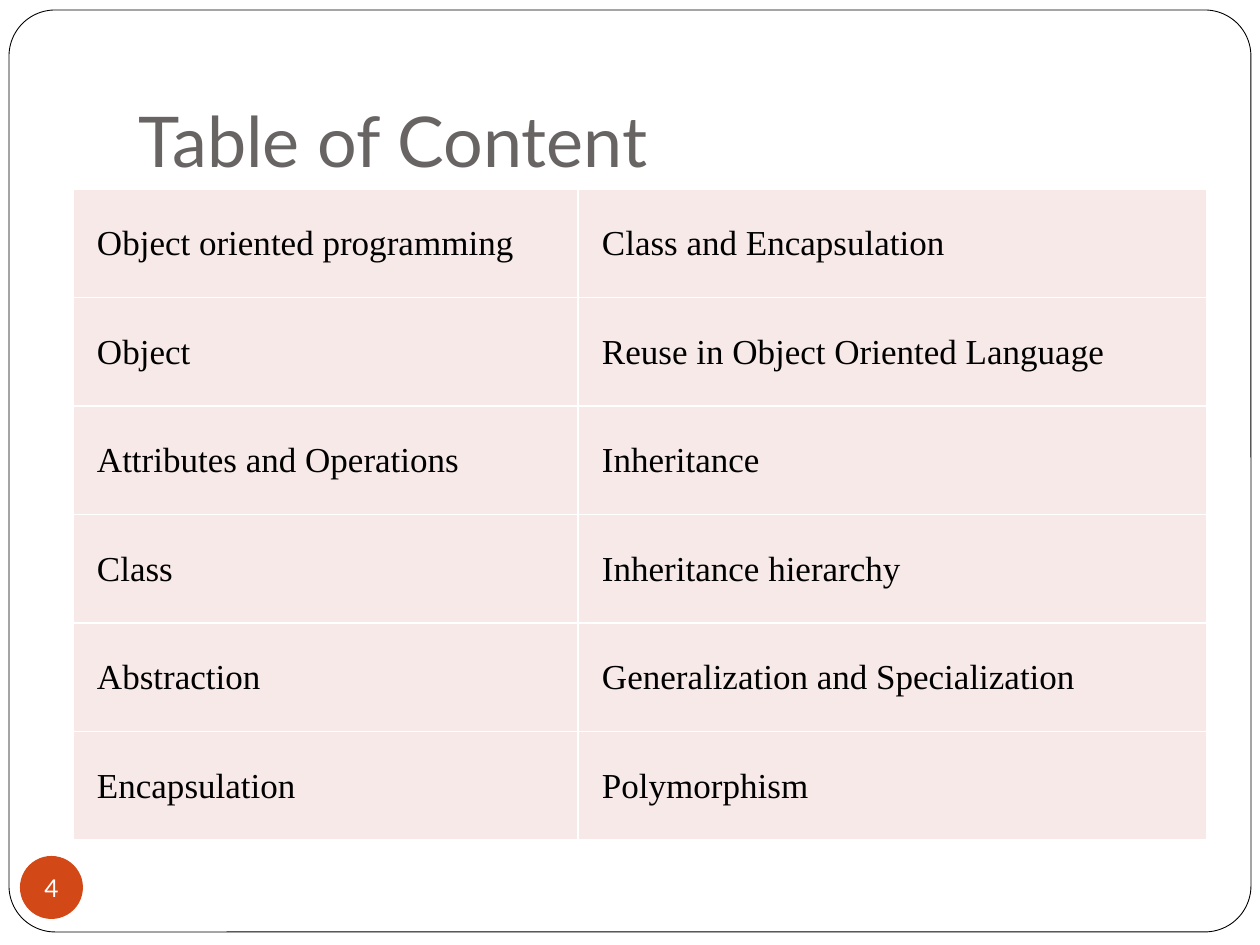
from dataclasses import dataclass

from lxml import etree
from pptx import Presentation
from pptx.dml.color import RGBColor
from pptx.enum.shapes import MSO_SHAPE
from pptx.enum.text import MSO_ANCHOR, MSO_AUTO_SIZE, PP_ALIGN
from pptx.oxml.ns import qn
from pptx.util import Pt

ROUND, OVAL = MSO_SHAPE.ROUNDED_RECTANGLE, MSO_SHAPE.OVAL
MIDDLE, BOTTOM = MSO_ANCHOR.MIDDLE, MSO_ANCHOR.BOTTOM
LEFT, CENTER = PP_ALIGN.LEFT, PP_ALIGN.CENTER
NO_FIT = MSO_AUTO_SIZE.NONE

WHITE = RGBColor(0xFF, 0xFF, 0xFF)
BLACK = RGBColor(0, 0, 0)
GRAY = RGBColor(0x69, 0x64, 0x64)
ORANGE = RGBColor(0xD3, 0x48, 0x17)
PINK = RGBColor(0xF7, 0xE9, 0xE8)
SANS, SERIF = "Lato", "Times New Roman"


def px(count: int) -> int:
    return round(count * 914400 / 126)


@dataclass(frozen=True)
class Box:
    left: int
    top: int
    width: int
    height: int

    def emu(self) -> tuple[int, ...]:
        return tuple(px(n) for n in (self.left, self.top, self.width, self.height))


@dataclass(frozen=True)
class Style:
    font: str
    size: int
    color: RGBColor
    align: PP_ALIGN = LEFT


@dataclass(frozen=True)
class Topic:
    first: str
    second: str


FRAME = Box(9, 10, 1242, 922)
TITLE = Box(126, 38, 1071, 157)
BADGE = Box(20, 856, 63, 63)
GRID = Box(73, 189, 1134, 651)
COLS = (505, 629)
HEAD = Style(SANS, 40, GRAY)
PAGE = Style(SANS, 14, WHITE, CENTER)
ENTRY = Style(SERIF, 20, BLACK)
TOPICS = (
    Topic("Object oriented programming", "Class and Encapsulation"),
    Topic("Object", "Reuse in Object Oriented Language"),
    Topic("Attributes and Operations", "Inheritance"),
    Topic("Class", "Inheritance hierarchy"),
    Topic("Abstraction", "Generalization and Specialization"),
    Topic("Encapsulation", "Polymorphism"),
)


def write(frame, text: str, style: Style) -> None:
    frame.text = text
    para = frame.paragraphs[0]
    para.alignment = style.align
    font = para.runs[0].font
    font.name, font.size = style.font, Pt(style.size)
    font.color.rgb = style.color


def inset(item, left: int, top: int, right: int, bottom: int) -> None:
    item.margin_left, item.margin_top = px(left), px(top)
    item.margin_right, item.margin_bottom = px(right), px(bottom)


def add_form(slide, kind: MSO_SHAPE, box: Box, fill: RGBColor):
    form = slide.shapes.add_shape(kind, *box.emu())
    form.shadow.inherit = False
    form.fill.solid()
    form.fill.fore_color.rgb = fill
    form.line.fill.background()
    return form


def add_frame(slide) -> None:
    form = add_form(slide, ROUND, FRAME, WHITE)
    form.adjustments[0] = 0.05
    form.line.color.rgb = BLACK
    form.line.width = Pt(0.5)
    slide.shapes.element.insert(2, form.element)


def add_title(slide) -> None:
    title = slide.shapes.title
    title.left, title.top, title.width, title.height = TITLE.emu()
    frame = title.text_frame
    write(frame, "Table of Content", HEAD)
    frame.auto_size = NO_FIT
    frame.vertical_anchor = BOTTOM
    inset(frame, 13, 6, 13, 13)


def add_badge(slide) -> None:
    frame = add_form(slide, OVAL, BADGE, ORANGE).text_frame
    write(frame, "4", PAGE)
    frame.word_wrap = False
    frame.vertical_anchor = MIDDLE
    inset(frame, 0, 0, 0, 0)


def add_edges(cell) -> None:
    props = cell._tc.get_or_add_tcPr()
    for spot, side in enumerate(("lnL", "lnR", "lnT", "lnB")):
        line = etree.Element(qn(f"a:{side}"), w=str(Pt(1)))
        fill = etree.SubElement(line, qn("a:solidFill"))
        etree.SubElement(fill, qn("a:srgbClr"), val=str(WHITE))
        props.insert(spot, line)


def fill_cell(cell, text: str) -> None:
    write(cell.text_frame, text, ENTRY)
    cell.vertical_anchor = MIDDLE
    inset(cell, 24, 1, 1, 0)
    cell.fill.solid()
    cell.fill.fore_color.rgb = PINK
    add_edges(cell)


def add_topics(slide) -> None:
    table = slide.shapes.add_table(len(TOPICS), len(COLS), *GRID.emu()).table
    table.first_row = table.horz_banding = False
    for col, width in zip(table.columns, COLS):
        col.width = px(width)
    for row, topic in zip(table.rows, TOPICS):
        for cell, text in zip(row.cells, (topic.first, topic.second)):
            fill_cell(cell, text)


def main() -> None:
    deck = Presentation()
    deck.slide_width, deck.slide_height = px(1260), px(945)
    slide = deck.slides.add_slide(deck.slide_layouts[5])
    add_frame(slide)
    add_title(slide)
    add_badge(slide)
    add_topics(slide)
    deck.save("out.pptx")


if __name__ == "__main__":
    main()
